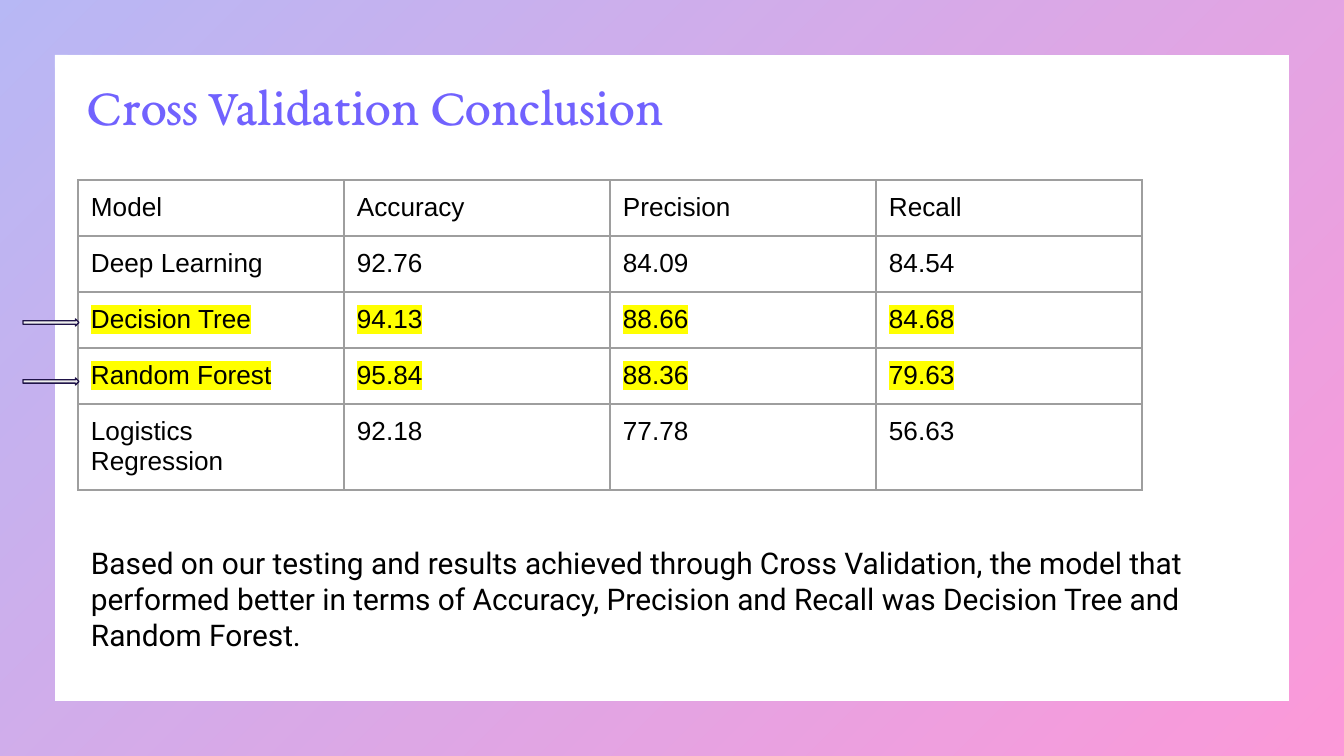
from typing import Any, NamedTuple

from lxml.etree import SubElement as Sub
from pptx import Presentation
from pptx.dml.color import RGBColor
from pptx.enum.shapes import MSO_SHAPE as Shape
from pptx.enum.text import MSO_ANCHOR as Anchor, PP_ALIGN as Align
from pptx.oxml.ns import qn
from pptx.util import Emu, Pt

SCALE = 914400 / 134.4
WIDE, HIGH = 1344, 756
LEFT = 78
ROW, COL = 56, 266
PAD = 13


class Box(NamedTuple):
    x: int
    y: int
    w: int
    h: int


class Row(NamedTuple):
    model: str
    scores: tuple[str, str, str]
    best: bool = False
    high: int = ROW


ROWS = [
    Row("Model", ("Accuracy", "Precision", "Recall")),
    Row("Deep Learning", ("92.76", "84.09", "84.54")),
    Row("Decision Tree", ("94.13", "88.66", "84.68"), best=True),
    Row("Random Forest", ("95.84", "88.36", "79.63"), best=True),
    Row("Logistics Regression", ("92.18", "77.78", "56.63"), high=86),
]
ARROWS = [Box(23, y, 56, 7) for y in (319, 378)]

TITLE = {"name": "EB Garamond", "size": Pt(28.1), "bold": False}
CELL = {"name": "Arial", "size": Pt(14), "bold": False}
BODY = {"name": "Roboto", "size": Pt(16), "bold": False}


def px(n: int) -> Emu:
    return Emu(round(n * SCALE))


def color(code: str) -> RGBColor:
    return RGBColor.from_string(code)


def place(box: Box) -> tuple[Emu, ...]:
    return tuple(px(n) for n in box)


def assign(item: Any, values: dict[str, Any]) -> None:
    for key, value in values.items():
        setattr(item, key, value)


def margins(item: Any, x: int, y: int) -> None:
    assign(item, {"margin_left": px(x), "margin_right": px(x),
                  "margin_top": px(y), "margin_bottom": px(y)})


def write(frame: Any, text: str, style: dict[str, Any], code: str = "000000") -> Any:
    """Put one left-aligned run in the frame and return it."""
    para = frame.paragraphs[0]
    para.alignment = Align.LEFT
    run = para.add_run()
    run.text = text
    assign(run.font, style)
    run.font.color.rgb = color(code)
    return run


def mark(run: Any, code: str) -> None:
    """Highlight a run that already has a font colour."""
    props = run.font._element
    light = Sub(props, qn("a:highlight"))
    Sub(light, qn("a:srgbClr"), val=code)
    props.find(qn("a:solidFill")).addnext(light)


def border(cell: Any, code: str) -> None:
    props = cell._tc.get_or_add_tcPr()
    for at, side in enumerate(("lnL", "lnR", "lnT", "lnB")):
        line = Sub(props, qn(f"a:{side}"), w=str(Pt(0.75)))
        fill = Sub(line, qn("a:solidFill"))
        Sub(fill, qn("a:srgbClr"), val=code)
        props.insert(at, line)


def draw_frame(slide: Any) -> None:
    shape = slide.shapes.add_shape(Shape.FRAME, *place(Box(0, 0, WIDE, HIGH)))
    shape.shadow.inherit = False
    shape.adjustments[0] = 0.072
    shape.line.fill.background()
    shape.fill.gradient()
    shape.fill.gradient_angle = 315
    for stop, code in zip(shape.fill.gradient_stops, ("4D4EE6", "F900A0")):
        stop.color.rgb = color(code)
    for tint in shape._element.spPr.iter(qn("a:srgbClr")):
        Sub(tint, qn("a:alpha"), val="40000")
    slide.shapes._spTree.insert(2, shape._element)


def draw_title(slide: Any, box: Box, text: str) -> None:
    title = slide.shapes.title
    assign(title, dict(zip(("left", "top", "width", "height"), place(box))))
    frame = title.text_frame
    margins(frame, 9, 5)
    frame.vertical_anchor = Anchor.MIDDLE
    frame.paragraphs[0].line_spacing = 0.9
    write(frame, text, TITLE, "7162FE")


def draw_table(slide: Any, x: int, y: int, rows: list[Row]) -> None:
    cols = 1 + len(rows[0].scores)
    box = Box(x, y, cols * COL, sum(row.high for row in rows))
    table = slide.shapes.add_table(len(rows), cols, *place(box)).table
    assign(table, {"first_row": False, "horz_banding": False})
    for line, row in zip(table.rows, rows):
        line.height = px(row.high)
        for cell, text in zip(line.cells, (row.model, *row.scores)):
            cell.fill.background()
            margins(cell, PAD, PAD)
            border(cell, "9E9E9E")
            run = write(cell.text_frame, text, CELL)
            if row.best:
                mark(run, "FFFF00")


def draw_text(slide: Any, box: Box, text: str) -> None:
    frame = slide.shapes.add_textbox(*place(box)).text_frame
    frame.word_wrap = True
    margins(frame, PAD, PAD)
    write(frame, text, BODY)


def draw_arrow(slide: Any, box: Box) -> None:
    arrow = slide.shapes.add_shape(Shape.RIGHT_ARROW, *place(box))
    arrow.shadow.inherit = False
    arrow.fill.solid()
    arrow.fill.fore_color.rgb = color("EEEEEE")
    arrow.line.color.rgb = color("201449")
    arrow.line.width = Pt(0.75)


def main() -> None:
    deck = Presentation()
    assign(deck, {"slide_width": px(WIDE), "slide_height": px(HIGH)})
    slide = deck.slides.add_slide(deck.slide_layouts[5])
    draw_frame(slide)
    draw_title(slide, Box(LEFT, 66, 1220, 85), "Cross Validation Conclusion")
    draw_table(slide, LEFT, 180, ROWS)
    draw_text(slide, Box(LEFT, 532, 1179, 136),
              "Based on our testing and results achieved through Cross Validation, "
              "the model that performed better in terms of Accuracy, Precision and "
              "Recall was Decision Tree and Random Forest.")
    for box in ARROWS:
        draw_arrow(slide, box)
    deck.save("out.pptx")


if __name__ == "__main__":
    main()
